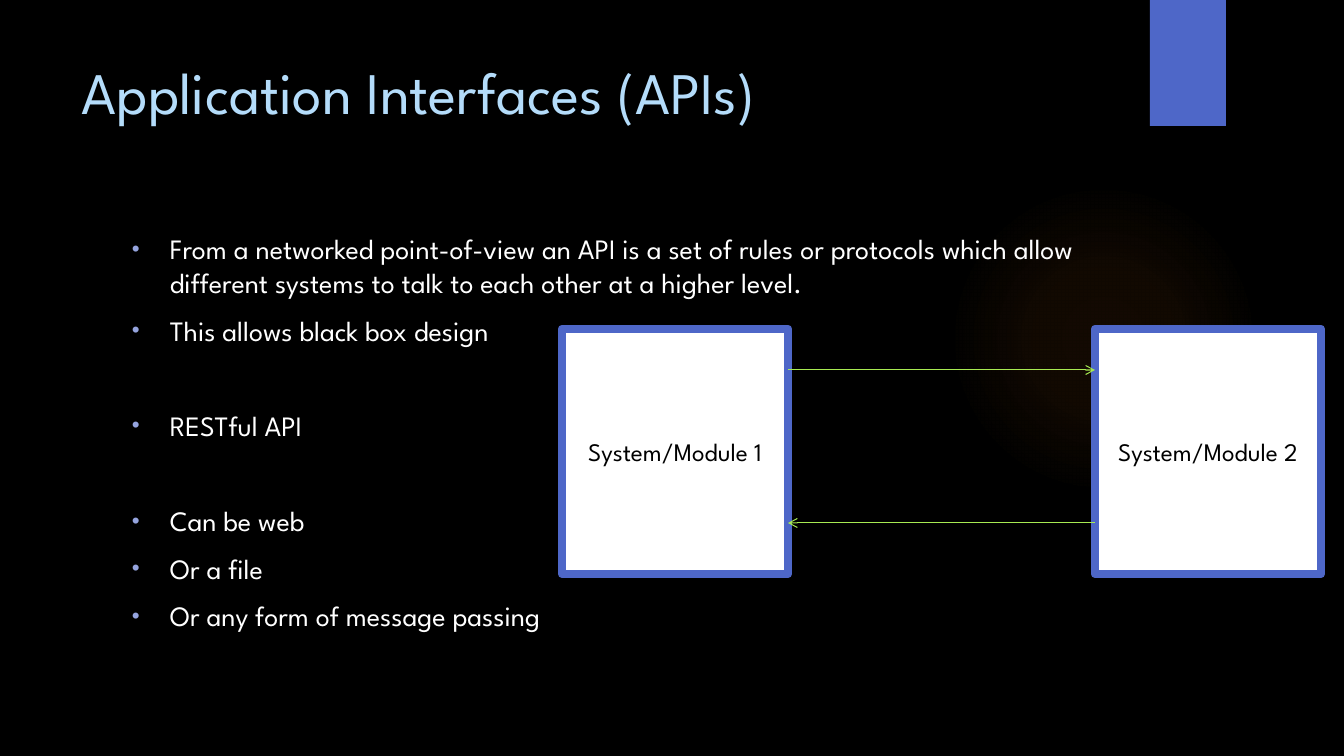
from lxml import etree
from pptx import Presentation
from pptx.dml.color import RGBColor
from pptx.enum.shapes import MSO_CONNECTOR, MSO_SHAPE
from pptx.enum.text import MSO_ANCHOR, PP_ALIGN
from pptx.oxml import parse_xml
from pptx.oxml.ns import nsdecls, qn
from pptx.util import Pt

RECTANGLE = MSO_SHAPE.RECTANGLE
OVAL = MSO_SHAPE.OVAL
STRAIGHT = MSO_CONNECTOR.STRAIGHT
MIDDLE = MSO_ANCHOR.MIDDLE
CENTER = PP_ALIGN.CENTER

BLACK = RGBColor(0x00, 0x00, 0x00)
WHITE = RGBColor(0xFF, 0xFF, 0xFF)
BLUE = RGBColor(0x4E, 0x67, 0xC8)
PALE_BLUE = RGBColor(0xB4, 0xDC, 0xFA)
BULLET_BLUE = RGBColor(0x95, 0xA4, 0xDE)
GREEN = RGBColor(0xA7, 0xEA, 0x52)
ORANGE = RGBColor(0xFF, 0x80, 0x21)

BULLETS = [
    ("From a networked point-of-view an API is a set of rules or protocols "
     "which allow different systems to talk to each other at a higher level.", 10),
    ("This allows black box design", 10),
    ("RESTful API", 44),
    ("Can be web", 44),
    ("Or a file", 10),
    ("Or any form of message passing", 10),
]


class SlideBuilder:
    font = "League Spartan"
    scale = 12192000 / 1344

    def __init__(self, presentation):
        presentation.slide_width = self.px(1344)
        presentation.slide_height = self.px(756)
        self.slide = presentation.slides.add_slide(presentation.slide_layouts[6])
        background = self.slide.background.fill
        background.solid()
        background.fore_color.rgb = BLACK

    def px(self, length):
        return round(length * self.scale)

    def style(self, paragraph, size, color):
        for run in paragraph.runs:
            run.font.name = self.font
            run.font.size = Pt(size)
            run.font.color.rgb = color

    def shape(self, kind, left, top, width, height, color):
        shape = self.slide.shapes.add_shape(
            kind, *map(self.px, (left, top, width, height)))
        shape.shadow.inherit = False
        shape.fill.solid()
        shape.fill.fore_color.rgb = color
        shape.line.fill.background()
        return shape

    def glow(self, left, top, size, color, stops):
        shape = self.shape(OVAL, left, top, size, size, color)
        stop_xml = "".join(
            f'<a:gs pos="{position * 1000}"><a:srgbClr val="{color}">'
            f'<a:alpha val="{alpha * 1000}"/></a:srgbClr></a:gs>'
            for position, alpha in stops)
        gradient = parse_xml(
            f'<a:gradFill {nsdecls("a")}><a:gsLst>{stop_xml}</a:gsLst>'
            '<a:path path="circle"><a:fillToRect l="50000" t="50000" '
            'r="50000" b="50000"/></a:path></a:gradFill>')
        properties = shape.element.spPr
        properties.replace(properties.find(qn("a:solidFill")), gradient)

    def box(self, left, top, width, height, label):
        shape = self.shape(RECTANGLE, left, top, width, height, WHITE)
        shape.line.color.rgb = BLUE
        shape.line.width = Pt(6)
        etree.SubElement(shape.line._get_or_add_ln(), qn("a:round"))
        frame = shape.text_frame
        frame.text = label
        frame.word_wrap = True
        frame.vertical_anchor = MIDDLE
        paragraph = frame.paragraphs[0]
        paragraph.alignment = CENTER
        self.style(paragraph, 18, BLACK)

    def text_frame(self, left, top, width, height):
        text_box = self.slide.shapes.add_textbox(
            *map(self.px, (left, top, width, height)))
        text_box.text_frame.word_wrap = True
        return text_box.text_frame

    def title(self, left, top, width, height, text):
        frame = self.text_frame(left, top, width, height)
        frame.text = text
        paragraph = frame.paragraphs[0]
        paragraph.line_spacing = Pt(51)
        self.style(paragraph, 42, PALE_BLUE)

    def bullets(self, left, top, width, height, items):
        frame = self.text_frame(left, top, width, height)
        frame.text = "\n".join(text for text, _ in items)
        for paragraph, (_, space) in zip(frame.paragraphs, items):
            paragraph.space_before = Pt(space)
            paragraph.line_spacing = Pt(24)
            self.style(paragraph, 20, WHITE)
            properties = paragraph._p.get_or_add_pPr()
            properties.set("marL", str(self.px(38)))
            properties.set("indent", str(-self.px(38)))
            bullet_color = etree.SubElement(properties, qn("a:buClr"))
            etree.SubElement(bullet_color, qn("a:srgbClr"), val=str(BULLET_BLUE))
            etree.SubElement(properties, qn("a:buSzPct"), val="80000")
            etree.SubElement(properties, qn("a:buFont"), typeface="Arial")
            etree.SubElement(properties, qn("a:buChar"), char="•")

    def arrow(self, start, end, y):
        connector = self.slide.shapes.add_connector(
            STRAIGHT, *map(self.px, (start, y, end, y)))
        connector.line.color.rgb = GREEN
        connector.line.width = Pt(0.75)
        etree.SubElement(
            connector.line._get_or_add_ln(), qn("a:tailEnd"), type="arrow")
        etree.SubElement(connector._element.spPr, qn("a:effectLst"))


def main():
    presentation = Presentation()
    builder = SlideBuilder(presentation)
    builder.glow(949, 184, 310, ORANGE, [(0, 7), (36, 6), (69, 0)])
    builder.shape(RECTANGLE, 1150, 0, 76, 126, BLUE)
    builder.title(72, 50, 1037, 154, "Application Interfaces (APIs)")
    builder.bullets(122, 227, 986, 463, BULLETS)

    box_width = 226
    first_left, second_left = 562, 1095
    for number, left in enumerate((first_left, second_left), start=1):
        builder.box(left, 329, box_width, 245, f"System/Module {number}")
    first_right = first_left + box_width
    builder.arrow(first_right, second_left, 370)
    builder.arrow(second_left, first_right, 523)
    presentation.save("out.pptx")


if __name__ == "__main__":
    main()
